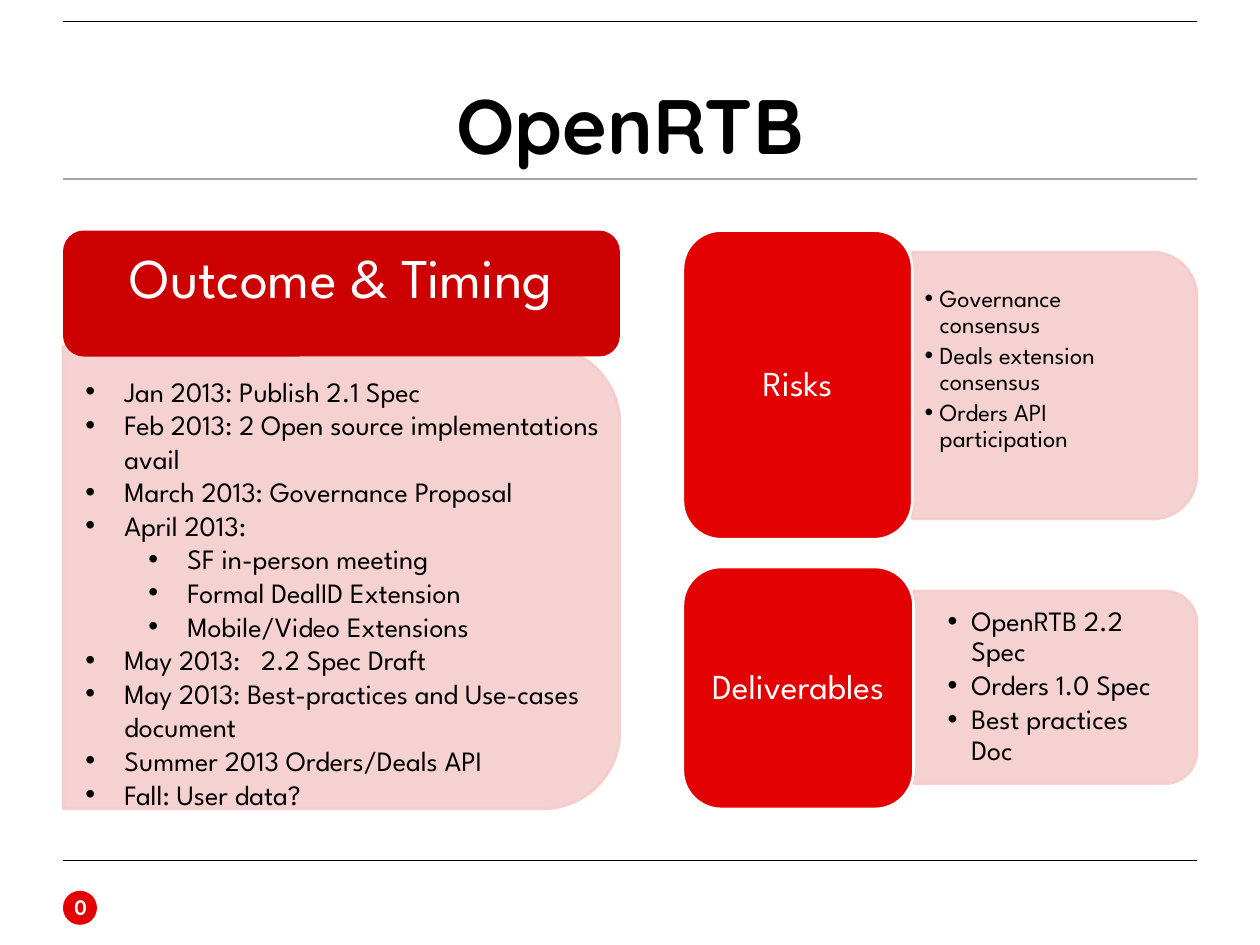
from pptx import Presentation
from pptx.dml.color import RGBColor
from pptx.enum.shapes import MSO_CONNECTOR, MSO_SHAPE
from pptx.enum.text import MSO_ANCHOR, PP_ALIGN
from pptx.oxml.ns import qn
from pptx.util import Inches, Pt
from lxml.etree import SubElement

BLACK = RGBColor(0x00, 0x00, 0x00)
WHITE = RGBColor(0xFF, 0xFF, 0xFF)
GRAY = RGBColor(0xA5, 0xA5, 0xA5)
RED = RGBColor(0xE2, 0x00, 0x00)
DARK_RED = RGBColor(0xCC, 0x00, 0x00)
PINK = RGBColor(0xF4, 0xCC, 0xCC)

HEADING_FONT = "Quicksand"
BODY_FONT = "League Spartan"

TIMELINE = [
    (0, "Jan 2013: Publish 2.1 Spec"),
    (0, "Feb 2013: 2 Open source implementations avail"),
    (0, "March 2013: Governance Proposal"),
    (0, "April 2013:"),
    (1, "SF in-person meeting"),
    (1, "Formal DealID Extension"),
    (1, "Mobile/Video Extensions"),
    (0, "May 2013:   2.2 Spec Draft"),
    (0, "May 2013: Best-practices and Use-cases document"),
    (0, "Summer 2013 Orders/Deals API"),
    (0, "Fall: User data?"),
]
RISKS = [(0, "Governance consensus"), (0, "Deals extension consensus"),
         (0, "Orders API participation")]
DELIVERABLES = [(0, "OpenRTB 2.2 Spec"), (0, "Orders 1.0 Spec"),
                (0, "Best practices Doc")]


def set_values(target, values):
    for name, value in values.items():
        setattr(target, name, value)


def set_frame(frame, insets=(0.1, 0.05, 0.1, 0.05), anchor=MSO_ANCHOR.MIDDLE):
    sides = ("margin_left", "margin_top", "margin_right", "margin_bottom")
    set_values(frame, {"word_wrap": True, "vertical_anchor": anchor})
    set_values(frame, dict(zip(sides, map(Inches, insets))))


def write(paragraph, text, size, font=BODY_FONT, color=BLACK, bold=False, **layout):
    run = paragraph.add_run()
    run.text = text
    set_values(run.font, {"size": Pt(size), "name": font, "bold": bold})
    run.font.color.rgb = color
    set_values(paragraph, layout)


def add_rule(slide, y, color, width):
    line = slide.shapes.add_connector(
        MSO_CONNECTOR.STRAIGHT, Inches(0.5), Inches(y), Inches(9.5), Inches(y))
    line.line.color.rgb = color
    line.line.width = Pt(width)
    SubElement(line._element.spPr, qn("a:effectLst"))


def add_block(slide, kind, box, fill, outline=None):
    shape = slide.shapes.add_shape(kind, *map(Inches, box))
    shape.shadow.inherit = False
    shape.fill.solid()
    shape.fill.fore_color.rgb = fill
    if outline is None:
        shape.line.fill.background()
    else:
        shape.line.color.rgb = outline
        shape.line.width = Pt(1.5)
    return shape


def add_panel(slide, left, top, width, height):
    """Translucent panel with rounded right corners, given by its visible box."""
    box = (left + (width - height) / 2, top + (height - width) / 2, height, width)
    panel = add_block(slide, MSO_SHAPE.ROUND_2_SAME_RECTANGLE, box, PINK, PINK)
    panel.rotation = 90
    for color in panel._element.spPr.iter(qn("a:srgbClr")):
        SubElement(color, qn("a:alpha"), val="90000")


def add_label(slide, box, text, size, font=BODY_FONT, color=WHITE, bold=False):
    frame = slide.shapes.add_textbox(*map(Inches, box)).text_frame
    set_frame(frame)
    write(frame.paragraphs[0], text, size, font, color, bold,
          alignment=PP_ALIGN.CENTER)


def add_bullets(slide, box, items, size, hanging, insets, anchor, **layout):
    frame = slide.shapes.add_textbox(*map(Inches, box)).text_frame
    set_frame(frame, insets, anchor)
    for index, (level, text) in enumerate(items):
        paragraph = frame.paragraphs[0] if index == 0 else frame.add_paragraph()
        write(paragraph, text, size, level=level, **layout)
        properties = paragraph._p.get_or_add_pPr()
        properties.set("marL", str(Inches(hanging + 0.5 * level)))
        properties.set("indent", str(Inches(-hanging)))
        SubElement(properties, qn("a:buFont"), typeface="Arial")
        SubElement(properties, qn("a:buChar"), char="•")


def add_topic(slide, title, tile, panel, items, text_box, size, hanging, insets):
    """Red title tile joined to a pink panel with bullets."""
    add_panel(slide, *panel)
    add_bullets(slide, text_box, items, size, hanging, insets, MSO_ANCHOR.MIDDLE,
                line_spacing=0.9, space_after=Pt(2.3))
    shape = add_block(slide, MSO_SHAPE.ROUNDED_RECTANGLE, tile, RED, WHITE)
    set_frame(shape.text_frame, (0.08, 0.04, 0.08, 0.04))
    write(shape.text_frame.paragraphs[0], title, 20, color=WHITE,
          alignment=PP_ALIGN.CENTER, line_spacing=0.9)


def add_timeline(slide):
    add_panel(slide, 0.5, 2.75, 4.42, 3.67)
    header = add_block(slide, MSO_SHAPE.ROUNDED_RECTANGLE,
                       (0.5, 1.83, 4.42, 1), DARK_RED)
    set_frame(header.text_frame, anchor=MSO_ANCHOR.TOP)
    write(header.text_frame.paragraphs[0], "Outcome & Timing", 32, color=WHITE,
          alignment=PP_ALIGN.CENTER)
    add_bullets(slide, (0.58, 2.92, 4.33, 3.6), TIMELINE, 16, 0.31,
                (0.1, 0.05, 0.1, 0.05), MSO_ANCHOR.TOP)


def main():
    presentation = Presentation()
    presentation.slide_width = Inches(10)
    presentation.slide_height = Inches(7.5)
    slide = presentation.slides.add_slide(presentation.slide_layouts[6])

    # Page frame, title and page number
    for y, color, width in [(6.83, BLACK, 1), (0.17, BLACK, 1), (1.42, GRAY, 1.5)]:
        add_rule(slide, y, color, width)
    add_block(slide, MSO_SHAPE.OVAL, (0.5, 7.07, 0.27, 0.27), RED)
    add_label(slide, (0.5, 0.56, 9, 0.84), "OpenRTB", 44, HEADING_FONT, BLACK, True)
    add_label(slide, (0.4, 7, 0.48, 0.4), "0", 12, HEADING_FONT, WHITE, True)

    # Right column
    add_topic(slide, "Risks", (5.42, 1.83, 1.82, 2.45), (7.24, 2, 2.26, 2.12),
              RISKS, (7.24, 2.1, 2.16, 1.91), 14, 0.12, (0.1, 0.14, 0.4, 0.38))
    add_topic(slide, "Deliverables", (5.42, 4.5, 1.83, 1.92),
              (7.25, 4.69, 2.25, 1.53), DELIVERABLES, (7.25, 4.76, 2.18, 1.38),
              16, 0.19, (0.27, 0.14, 0.27, 0.14))

    # Left column
    add_timeline(slide)
    presentation.save("out.pptx")


main()
